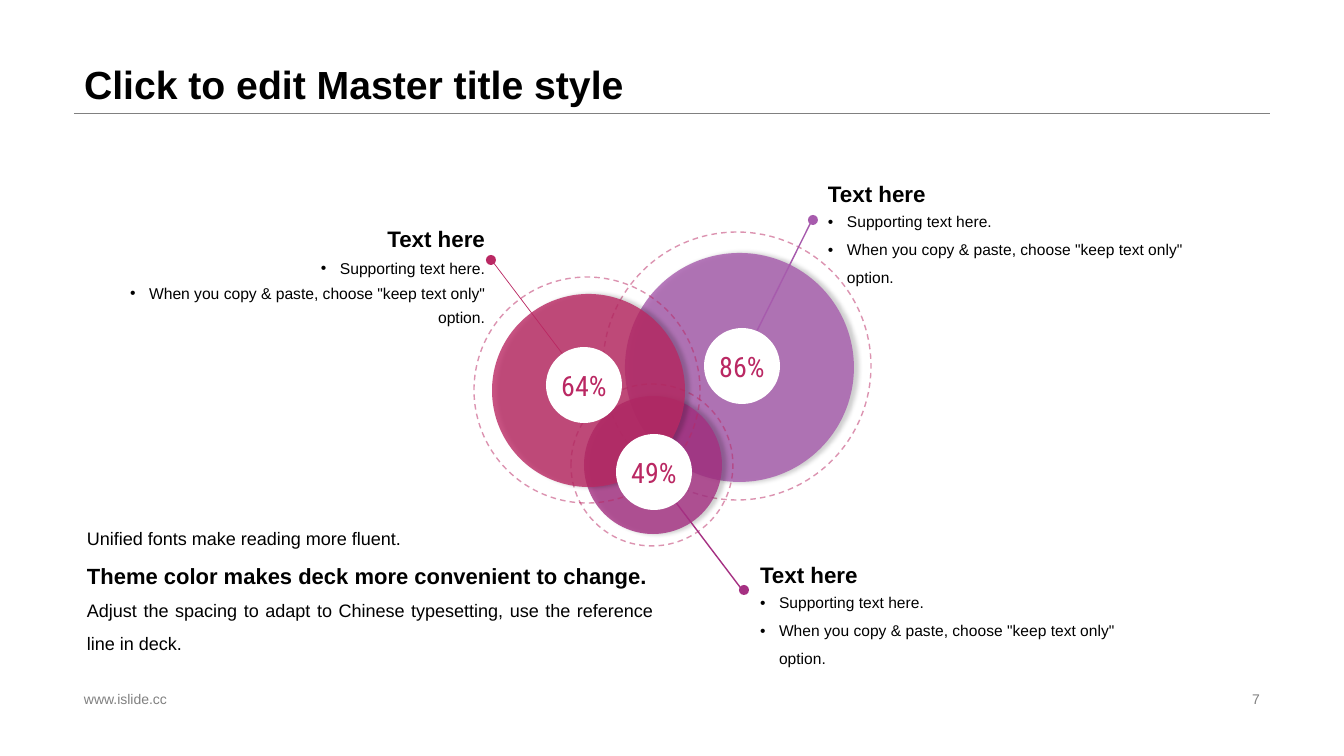
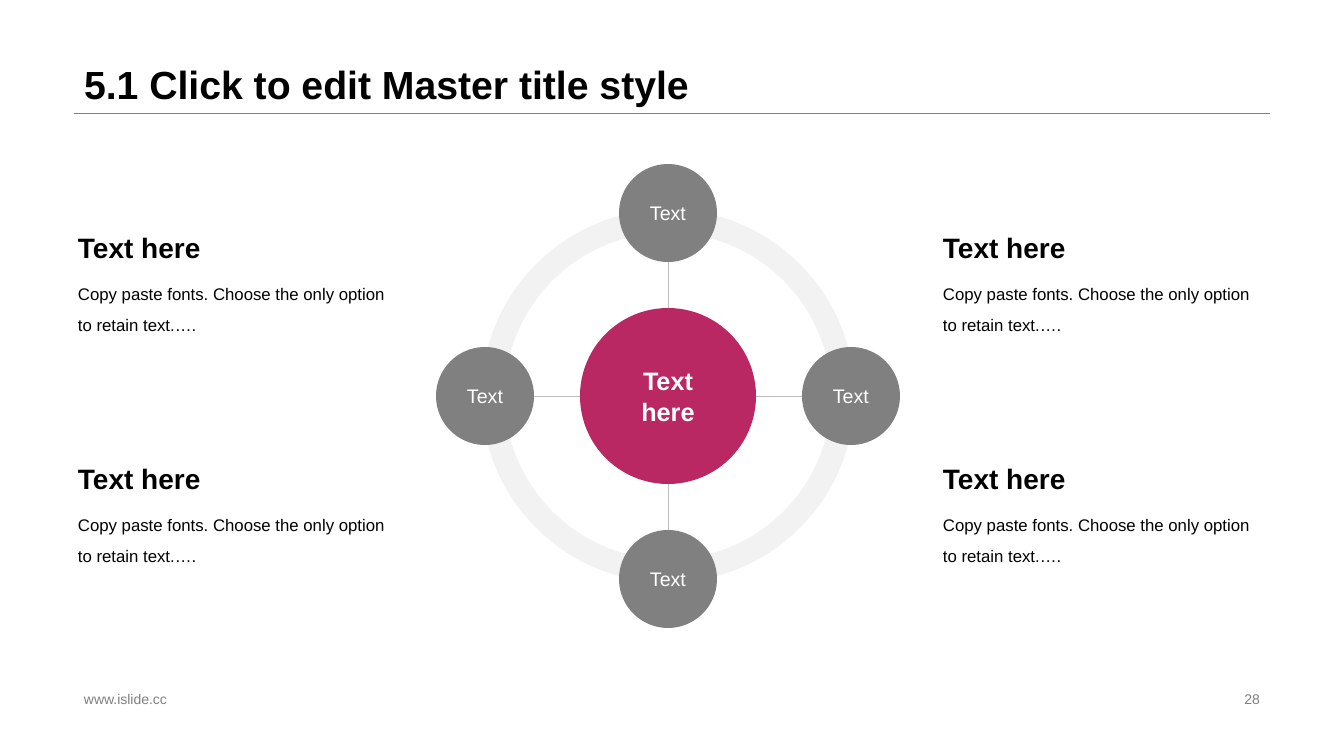
from dataclasses import dataclass

from lxml.etree import SubElement
from pptx import Presentation
from pptx.dml.color import RGBColor
from pptx.enum.dml import MSO_LINE
from pptx.enum.shapes import MSO_CONNECTOR, MSO_SHAPE
from pptx.enum.text import MSO_ANCHOR, PP_ALIGN
from pptx.oxml.ns import qn
from pptx.util import Emu, Pt


@dataclass(frozen=True)
class Theme:
    font: str = "Arial"
    figure_font: str = "Roboto Condensed"
    ink: str = "000000"
    paper: str = "FFFFFF"
    gray: str = "808080"
    pale: str = "F2F2F2"
    spoke: str = "BFBFBF"
    red: str = "BA2863"
    violet: str = "A75BAD"
    plum: str = "A53082"
    title_size: float = 28
    heading_size: float = 20
    figure_size: float = 20
    hub_size: float = 18
    callout_size: float = 16
    strong_size: float = 15.7
    node_size: float = 14
    statement_size: float = 12.9
    body_size: float = 12
    left_bullet_size: float = 11.2
    bullet_size: float = 11.1
    footer_size: float = 10


theme = Theme()
PX = 914400 / 100.8


def place(slide, kind, box, fill=None, line=None, weight=1.0, dash=None, opacity=100, shadow=False):
    lengths = [Emu(round(value * PX)) for value in box]
    if kind is None:
        return slide.shapes.add_textbox(*lengths)
    if kind is MSO_CONNECTOR.STRAIGHT:
        part = slide.shapes.add_connector(kind, *lengths)
        effects = SubElement(part.element.spPr, qn("a:effectLst"))
    else:
        part = slide.shapes.add_shape(kind, *lengths)
        part.shadow.inherit = False
        effects = part.element.spPr.find(qn("a:effectLst"))
        if fill:
            part.fill.solid()
            part.fill.fore_color.rgb = RGBColor.from_string(fill)
        else:
            part.fill.background()
    if line:
        part.line.color.rgb = RGBColor.from_string(line)
        part.line.width = Pt(weight)
        if dash:
            part.line.dash_style = dash
    else:
        part.line.fill.background()
    if opacity < 100:
        for color in part.element.spPr.iter(qn("a:srgbClr")):
            SubElement(color, qn("a:alpha"), val=str(opacity * 1000))
    if shadow:
        outer = SubElement(effects, qn("a:outerShdw"), blurRad=str(Pt(3)), dist=str(Pt(3)),
                           dir="0", algn="l", rotWithShape="0")
        shade = SubElement(outer, qn("a:srgbClr"), val=theme.ink)
        SubElement(shade, qn("a:alpha"), val="23000")
    return part


def write(part, text, size, color=theme.ink, bold=False, font=theme.font, align=PP_ALIGN.LEFT,
          anchor=MSO_ANCHOR.TOP, spacing=1.0, bullet=False, wrap=True, inset=(10, 5)):
    frame = part.text_frame
    frame.word_wrap = wrap
    frame.vertical_anchor = anchor
    frame.margin_left = frame.margin_right = Emu(round(inset[0] * PX))
    frame.margin_top = frame.margin_bottom = Emu(round(inset[1] * PX))
    paragraph = frame.add_paragraph() if frame.text else frame.paragraphs[0]
    paragraph.alignment = align
    paragraph.line_spacing = spacing
    if bullet:
        properties = paragraph._p.get_or_add_pPr()
        hang = round(19 * PX)
        properties.set("marL", str(hang))
        properties.set("indent", str(-hang))
        SubElement(properties, qn("a:buFont"), typeface=theme.font)
        SubElement(properties, qn("a:buChar"), char="•")
    run = paragraph.add_run()
    run.text = text
    run.font.name = font
    run.font.size = Pt(size)
    run.font.bold = bold
    run.font.color.rgb = RGBColor.from_string(color)


deck = Presentation()
deck.slide_width = Emu(round(1344 * PX))
deck.slide_height = Emu(round(756 * PX))

slides = []
for title, page in [("Click to edit Master title style", "7"),
                    ("5.1 Click to edit Master title style", "28")]:
    slide = deck.slides.add_slide(deck.slide_layouts[6])
    place(slide, MSO_CONNECTOR.STRAIGHT, (74, 113, 1270, 113), line=theme.gray, weight=0.25)
    write(place(slide, None, (74, 0, 1196, 113)), title, theme.title_size,
          bold=True, anchor=MSO_ANCHOR.BOTTOM, spacing=0.9)
    for text, box, align in [("www.islide.cc", (74, 687, 457, 23), PP_ALIGN.LEFT),
                             (page, (950, 687, 320, 23), PP_ALIGN.RIGHT)]:
        write(place(slide, None, box), text, theme.footer_size, color=theme.gray,
              align=align, anchor=MSO_ANCHOR.MIDDLE)
    slides.append(slide)

bubbles, wheel = slides

for left, top, align, size, spacing in [
    (77, 220, PP_ALIGN.RIGHT, theme.left_bullet_size, 1.3),
    (818, 175, PP_ALIGN.LEFT, theme.bullet_size, 1.5),
    (750, 556, PP_ALIGN.LEFT, theme.bullet_size, 1.5),
]:
    write(place(bubbles, None, (left, top, 418, 35)), "Text here", theme.callout_size,
          bold=True, align=align)
    support = place(bubbles, None, (left, top + 36, 418, 68))
    for text in ["Supporting text here.",
                 'When you copy & paste, choose "keep text only" option.']:
        write(support, text, size, align=align, anchor=MSO_ANCHOR.MIDDLE,
              spacing=spacing, bullet=True)

for color, disc, orbit in [
    (theme.violet, (625, 253, 229, 229), (603, 232, 268, 268)),
    (theme.plum, (584, 396, 138, 138), (571, 384, 162, 162)),
    (theme.red, (492, 294, 193, 193), (474, 277, 226, 226)),
]:
    place(bubbles, MSO_SHAPE.OVAL, disc, fill=color, opacity=80, shadow=True)
    place(bubbles, MSO_SHAPE.OVAL, orbit, line=theme.red, dash=MSO_LINE.DASH, opacity=50)

for color, leader, weight, dot in [
    (theme.violet, (813, 218, 749, 347), 1, (808, 215, 10, 10)),
    (theme.red, (493, 262, 574, 369), 0.5, (486, 255, 10, 10)),
    (theme.plum, (662, 484, 743, 591), 1, (739, 585, 10, 10)),
]:
    place(bubbles, MSO_CONNECTOR.STRAIGHT, leader, line=color, weight=weight)
    place(bubbles, MSO_SHAPE.OVAL, dot, fill=color)

for share, left, top in [("86%", 704, 328), ("64%", 546, 347), ("49%", 616, 434)]:
    write(place(bubbles, MSO_SHAPE.OVAL, (left, top, 76, 76), fill=theme.paper), share,
          theme.figure_size, color=theme.red, font=theme.figure_font,
          align=PP_ALIGN.CENTER, anchor=MSO_ANCHOR.MIDDLE, wrap=False)

statement = place(bubbles, None, (77, 512, 586, 162))
for text, size, bold in [
    ("Unified fonts make reading more fluent.", theme.statement_size, False),
    ("Theme color makes deck more convenient to change.", theme.strong_size, True),
    ("Adjust the spacing to adapt to Chinese typesetting, use the reference line in deck.",
     theme.statement_size, False),
]:
    write(statement, text, size, bold=bold, align=PP_ALIGN.JUSTIFY, spacing=1.5)

center_x, center_y = 668, 396
rim, hub, node, reach = 373, 176, 98, 183
ring = place(wheel, MSO_SHAPE.DONUT, (center_x - rim / 2, center_y - rim / 2, rim, rim),
             fill=theme.pale)
ring.adjustments[0] = 0.062

spoke = reach - node // 2
for dx, dy in [(spoke, 0), (0, spoke)]:
    place(wheel, MSO_CONNECTOR.STRAIGHT,
          (center_x - dx, center_y - dy, center_x + dx, center_y + dy),
          line=theme.spoke, weight=0.25)

write(place(wheel, MSO_SHAPE.OVAL, (center_x - hub // 2, center_y - hub // 2, hub, hub),
            fill=theme.red),
      "Text here", theme.hub_size, color=theme.paper, bold=True,
      align=PP_ALIGN.CENTER, anchor=MSO_ANCHOR.MIDDLE)

for dx, dy in [(0, -1), (1, 0), (0, 1), (-1, 0)]:
    left = center_x + dx * reach - node // 2
    top = center_y + dy * reach - node // 2
    write(place(wheel, MSO_SHAPE.OVAL, (left, top, node, node), fill=theme.gray), "Text",
          theme.node_size, color=theme.paper, align=PP_ALIGN.CENTER,
          anchor=MSO_ANCHOR.MIDDLE, inset=(0, 0))

for left in (938, 73):
    for top in (229, 460):
        write(place(wheel, None, (left, top, 332, 43)), "Text here", theme.heading_size,
              bold=True, inset=(5, 2))
        write(place(wheel, None, (left, top + 43, 332, 68)),
              "Copy paste fonts. Choose the only option to retain text.….",
              theme.body_size, spacing=1.5, inset=(5, 2))

deck.save("out.pptx")
